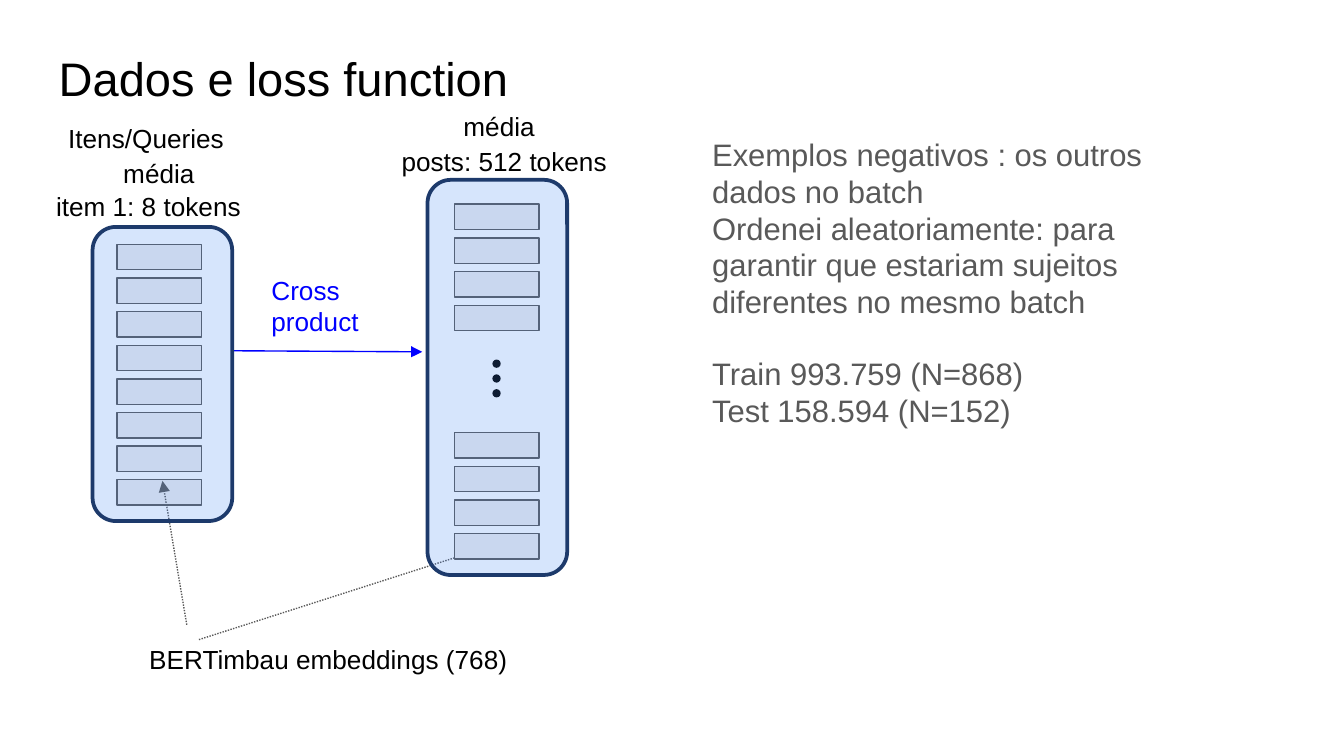
from dataclasses import dataclass

from lxml import etree
from pptx import Presentation
from pptx.dml.color import RGBColor
from pptx.enum.dml import MSO_LINE
from pptx.enum.shapes import MSO_CONNECTOR, MSO_SHAPE
from pptx.enum.text import MSO_ANCHOR
from pptx.oxml.ns import qn
from pptx.util import Cm, Pt

RECTANGLE = MSO_SHAPE.RECTANGLE
ROUNDED = MSO_SHAPE.ROUNDED_RECTANGLE
OVAL = MSO_SHAPE.OVAL
STRAIGHT = MSO_CONNECTOR.STRAIGHT
DOTTED = MSO_LINE.ROUND_DOT
MIDDLE = MSO_ANCHOR.MIDDLE
TOP = MSO_ANCHOR.TOP


@dataclass(frozen=True)
class Theme:
    """Colours, font and type sizes of the slide."""
    font: str = "Arial"
    ink: str = "000000"
    grey: str = "595959"
    token: str = "EEEEEE"
    panel: str = "4285F4"
    border: str = "1D3A6B"
    accent: str = "0000FF"
    title_size: float = 25.2
    body_size: float = 16.6
    label_size: float = 14
    thin: float = 0.75
    thick: float = 2


THEME = Theme()


def lengths(values):
    """Turn centimetres into slide lengths."""
    return [Cm(value) for value in values]


def add_text(page, box, lines, size, colour, inset=0.25, wrap=True, anchor=TOP):
    """Place a text box with one paragraph per line and return its frame."""
    frame = page.shapes.add_textbox(*lengths(box)).text_frame
    frame.word_wrap = wrap
    frame.vertical_anchor = anchor
    frame.margin_left = frame.margin_right = Cm(0.25)
    frame.margin_top = frame.margin_bottom = Cm(inset)
    frame.text = "\n".join(lines)
    for para in frame.paragraphs:
        para.font.name = THEME.font
        para.font.size = Pt(size)
        para.font.color.rgb = RGBColor.from_string(colour)
    return frame


def add_label(page, box, text, colour=THEME.ink, inset=0.25, wrap=True):
    """Place a diagram label."""
    add_text(page, box, [text], THEME.label_size, colour, inset, wrap)


def add_block(page, kind, box, fill, line, weight=THEME.thin):
    """Place a filled and outlined shape."""
    block = page.shapes.add_shape(kind, *lengths(box))
    block.shadow.inherit = False
    block.fill.solid()
    block.fill.fore_color.rgb = RGBColor.from_string(fill)
    block.line.color.rgb = RGBColor.from_string(line)
    block.line.width = Pt(weight)
    return block


def add_arrow(page, start, end, colour, dash=None):
    """Draw a thin arrow with a triangular head at its end."""
    arrow = page.shapes.add_connector(STRAIGHT, *lengths(start + end))
    arrow.line.color.rgb = RGBColor.from_string(colour)
    arrow.line.width = Pt(THEME.thin)
    if dash is not None:
        arrow.line.dash_style = dash
    outline = arrow.line._get_or_add_ln()
    etree.SubElement(outline, qn("a:tailEnd"), type="triangle")
    etree.SubElement(arrow._element.spPr, qn("a:effectLst"))


def add_stack(page, box, count, kind=RECTANGLE, part=0.48, fill=THEME.token, line=THEME.grey):
    """Spread equal parts evenly down the box."""
    left, top, width, height = box
    step = (height - part) / (count - 1)
    for index in range(count):
        add_block(page, kind, (left, top + index * step, width, part), fill, line)


def add_panel(page, box):
    """Lay a translucent rounded panel over a column of tokens."""
    panel = add_block(page, ROUNDED, box, THEME.panel, THEME.border, THEME.thick)
    colour = panel._element.spPr.find(qn("a:solidFill"))[0]
    etree.SubElement(colour, qn("a:alpha"), val="21000")


def add_item_column(page, box):
    """Build the column of item tokens with its headings."""
    left, top, width, height = box
    add_stack(page, (left + 0.46, top + 0.33, 1.6, 4.93), 8)
    add_label(page, (left - 0.71, top - 2.11, 3.48, 0.86), "Itens/Queries", inset=0.13, wrap=False)
    add_label(page, (left + 0.33, top - 1.45, 1.85, 0.86), "média", inset=0.13, wrap=False)
    add_label(page, (left - 0.94, top - 0.94, 5.23, 1.12), "item 1: 8 tokens")


def add_post_column(page, box):
    """Build the column of post tokens with its headings."""
    left, top, width, height = box
    for offset in (0.46, 4.78):
        add_stack(page, (left + 0.51, top + offset, 1.6, 2.39), 4)
    add_stack(page, (left + 1.24, top + 3.41, 0.13, 0.69), 3, OVAL, 0.13, THEME.ink, THEME.ink)
    add_label(page, (left + 0.43, top - 1.44, 1.85, 0.86), "média", inset=0.13, wrap=False)
    add_label(page, (left - 0.74, top - 0.91, 5.36, 1.12), "posts: 512 tokens")


def add_diagram(page, items, posts):
    """Build both token columns and the arrows that relate them."""
    add_item_column(page, items)
    add_arrow(page, (4.39, 6.63), (7.98, 6.65), THEME.accent)
    add_label(page, (4.88, 4.93, 3.51, 1.7), "Cross product", THEME.accent)
    add_arrow(page, (3.53, 11.81), (3.07, 9.09), THEME.grey, DOTTED)
    add_arrow(page, (3.76, 12.09), (9.32, 10.31), THEME.grey, DOTTED)
    add_label(page, (2.57, 11.91, 9.12, 1.12), "BERTimbau embeddings (768)")
    add_post_column(page, posts)
    for box in (items, posts):
        add_panel(page, box)


def add_notes_column(page, box):
    """Write the remarks on the data, with a gap before the set sizes."""
    lines = [
        "Exemplos negativos : os outros dados no batch",
        "Ordenei aleatoriamente: para garantir que estariam sujeitos diferentes no mesmo batch",
        "Train 993.759 (N=868)",
        "Test 158.594 (N=152)",
    ]
    frame = add_text(page, box, lines, THEME.body_size, THEME.grey)
    frame.margin_left = Cm(0.56)
    for para in frame.paragraphs:
        para.line_spacing = 0.99
    frame.paragraphs[2].space_before = Pt(19)


def main():
    """Build and save the one-slide deck."""
    deck = Presentation()
    deck.slide_width, deck.slide_height = Cm(25.4), Cm(14.29)
    page = deck.slides.add_slide(deck.slide_layouts[6])
    add_text(page, (0.86, 0.66, 23.67, 1.6), ["Dados e loss function"],
             THEME.title_size, THEME.ink, anchor=MIDDLE)
    add_notes_column(page, (12.9, 2.34, 9.73, 6.1))
    add_diagram(page, (1.75, 4.29, 2.64, 5.56), (8.08, 3.4, 2.64, 7.47))
    deck.save("out.pptx")


if __name__ == "__main__":
    main()
